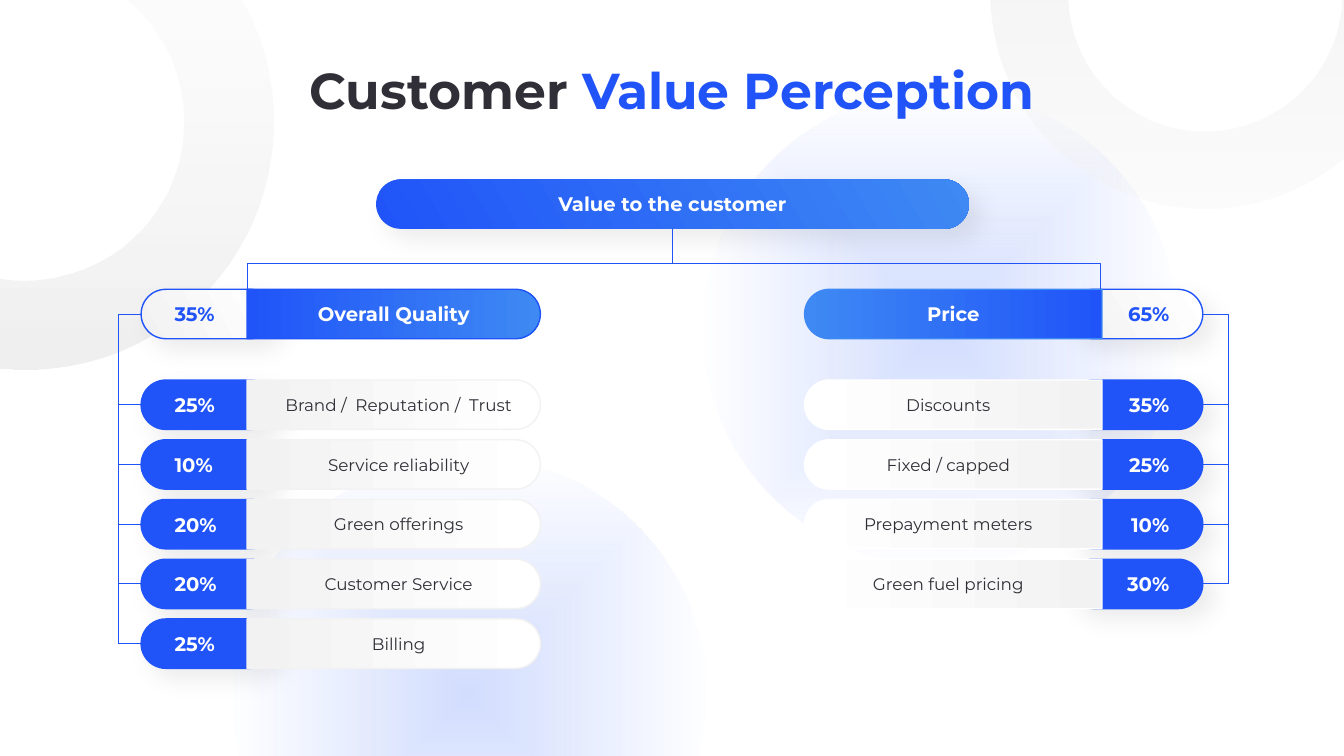
from dataclasses import dataclass
from math import asin, cos, degrees, radians, sin

from lxml import etree
from pptx import Presentation
from pptx.dml.color import RGBColor
from pptx.enum.shapes import MSO_CONNECTOR, MSO_SHAPE
from pptx.enum.text import MSO_ANCHOR, PP_ALIGN
from pptx.oxml import parse_xml
from pptx.oxml.ns import nsdecls, qn
from pptx.util import Inches, Pt

ELLIPSE, PILL, BRACKET = MSO_SHAPE.OVAL, MSO_SHAPE.ROUNDED_RECTANGLE, MSO_SHAPE.LEFT_BRACKET
STRAIGHT = MSO_CONNECTOR.STRAIGHT
LEFT, CENTER, RIGHT = PP_ALIGN.LEFT, PP_ALIGN.CENTER, PP_ALIGN.RIGHT
MIDDLE = MSO_ANCHOR.MIDDLE


@dataclass(frozen=True)
class Theme:
    """Colours, font and type sizes."""
    font: str = "Montserrat"
    blue: str = "2054F8"
    sky: str = "3E89F3"
    ink: str = "302F37"
    white: str = "FFFFFF"
    grey: str = "F2F2F2"
    ring: str = "E7E6E6"
    glow: str = "D2DDFE"
    title: int = 36
    label: int = 14
    body: int = 12


@dataclass(frozen=True)
class Branch:
    """Horizontal layout of one branch of the tree."""
    pill_x: float
    square_x: float
    round_x: float
    spine_x: float
    side: int
    align: PP_ALIGN
    pill_insets: tuple
    row_insets: tuple


T = Theme()
BAR_H, PILL_W = 0.49, 1.33
HEAD_Y, ROW_Y, ROW_PITCH = 2.87, 3.77, 2.37 / 4
QUALITY = Branch(1.4, 2.45, 5.36, 1.17, 1, LEFT, (0.26, 0.1), (0.1, 0))
PRICE = Branch(10.6, 10.93, 7.98, 12.18, 3, RIGHT, (0.1, 0.26), (0, 0.1))
QUALITY_ROWS = [("25%", "Brand /  Reputation /  Trust"), ("10%", "Service reliability"),
                ("20%", "Green offerings"), ("20%", "Customer Service"), ("25%", "Billing")]
PRICE_ROWS = [("35%", "Discounts"), ("25%", "Fixed / capped"),
              ("10%", "Prepayment meters"), ("30%", "Green fuel pricing")]


def rgb(color):
    """Turn a hex string into a colour."""
    return RGBColor.from_string(color)


def gradient(sp, stops, angle=None):
    """Fill with (colour, opacity) stops, linear at an angle or from the centre."""
    marks = "".join(
        f'<a:gs pos="{i * 100000}"><a:srgbClr val="{color}"><a:alpha val="{opacity * 1000}"/>'
        f'</a:srgbClr></a:gs>' for i, (color, opacity) in enumerate(stops))
    if angle is None:
        course = ('<a:path path="shape"><a:fillToRect l="50000" t="50000" r="50000" b="50000"/>'
                  '</a:path>')
    else:
        course = f'<a:lin ang="{angle * 60000}" scaled="0"/>'
    sp.fill.solid()
    solid = sp._element.spPr.find(qn("a:solidFill"))
    solid.getparent().replace(solid, parse_xml(
        f'<a:gradFill {nsdecls("a")} rotWithShape="1"><a:gsLst>{marks}</a:gsLst>{course}</a:gradFill>'))


def finish(sp, line=None, width=1):
    """Remove the inherited shadow and set the outline."""
    sp.shadow.inherit = False
    if line:
        sp.line.color.rgb = rgb(line)
        sp.line.width = Pt(width)
    else:
        sp.line.fill.background()


def soft_shadow(sp):
    """Add a faint shadow below and to the right."""
    sp._element.spPr.find(qn("a:effectLst")).append(parse_xml(
        f'<a:outerShdw {nsdecls("a")} blurRad="{Pt(17)}" dist="{Pt(10)}" dir="2700000" algn="tl" '
        'rotWithShape="0"><a:srgbClr val="000000"><a:alpha val="8000"/></a:srgbClr></a:outerShdw>'))


def write(sp, text, color, size=T.label, bold=True, align=CENTER, insets=(0.1, 0.1)):
    """Put one line of text into a shape."""
    tf = sp.text_frame
    tf.word_wrap = True
    tf.vertical_anchor = MIDDLE
    tf.margin_left, tf.margin_right = map(Inches, insets)
    p = tf.paragraphs[0]
    p.text = text
    p.alignment = align
    p.font.name, p.font.size, p.font.bold = T.font, Pt(size), bold
    p.font.color.rgb = rgb(color)


def shape(s, kind, x, y, w, h):
    """Add a preset shape measured in inches."""
    return s.shapes.add_shape(kind, Inches(x), Inches(y), Inches(w), Inches(h))


def outline(s, points):
    """Add a closed outline through points in inches."""
    start, *rest = [(Inches(x), Inches(y)) for x, y in points]
    builder = s.shapes.build_freeform(*start)
    builder.add_line_segments(rest)
    return builder.convert_to_shape()


def arc(cx, cy, rx, ry, begin, end, steps=60):
    """List points along an arc given in degrees."""
    angles = [radians(begin + (end - begin) * i / steps) for i in range(steps + 1)]
    return [(cx + rx * cos(a), cy + ry * sin(a)) for a in angles]


def glow(s, x, y):
    """Add a round glow that fades outward."""
    sp = shape(s, ELLIPSE, x, y, 4.71, 4.71)
    gradient(sp, [(T.glow, 100), (T.glow, 0)])
    finish(sp)


def ring(s, cx, cy, outer, inner, cut, facing, stops):
    """Add a ring cut straight at a distance behind its centre."""
    far, near = (90 + degrees(asin(cut / radius)) for radius in (outer, inner))
    sp = outline(s, arc(cx, cy, outer, outer, facing - far, facing + far)
                 + arc(cx, cy, inner, inner, facing + near, facing - near))
    gradient(sp, stops, 90)
    finish(sp)


def title(s):
    """Add the two-colour heading."""
    sp = s.shapes.add_textbox(Inches(0.58), Inches(0.39), Inches(12.17), Inches(1))
    write(sp, "Customer ", T.ink, T.title, insets=(0, 0))
    p = sp.text_frame.paragraphs[0]
    r = p.add_run()
    r.text = "Value Perception"
    r.font.color.rgb = rgb(T.blue)


def line(s, x1, y1, x2, y2):
    """Add a thin blue line."""
    cx = s.shapes.add_connector(STRAIGHT, Inches(x1), Inches(y1), Inches(x2), Inches(y2))
    cx.line.color.rgb = rgb(T.blue)
    cx.line.width = Pt(0.5)
    etree.SubElement(cx._element.spPr, qn("a:effectLst"))
    return cx


def pill(s, x, y, w):
    """Add a fully rounded bar."""
    sp = shape(s, PILL, x, y, w, BAR_H)
    sp.adjustments[0] = 0.5
    return sp


def bar(s, branch, y, percent, label, head=False):
    """Add a percentage pill with its label bar and return the pill."""
    share = pill(s, branch.pill_x, y, PILL_W)
    if head:
        gradient(share, [(T.grey, 100), (T.white, 100)], 330)
    else:
        share.fill.solid()
        share.fill.fore_color.rgb = rgb(T.blue)
    finish(share, T.blue)
    soft_shadow(share)
    write(share, percent, T.blue if head else T.white, align=branch.align, insets=branch.pill_insets)

    radius = BAR_H / 2
    reach = radius if branch.round_x > branch.square_x else -radius
    name = outline(s, [(branch.square_x, y)]
                   + arc(branch.round_x - reach, y + radius, reach, radius, -90, 90, 24)
                   + [(branch.square_x, y + BAR_H)])
    colors = [T.blue, T.sky] if head else [T.grey, T.white]
    edge = colors[0] if reach > 0 else colors[1]
    gradient(name, [(c, 100) for c in (colors if reach > 0 else colors[::-1])], 0)
    finish(name, edge)
    if head:
        write(name, label, T.white)
    else:
        write(name, label, T.ink, T.body, False, insets=branch.row_insets)
    return share


def tree(s, branch, head, rows):
    """Add a branch heading, its rows and the lines that join them."""
    pills = [bar(s, branch, HEAD_Y, *head, head=True)]
    pills += [bar(s, branch, ROW_Y + i * ROW_PITCH, *row) for i, row in enumerate(rows)]
    mid = BAR_H / 2
    last_y = ROW_Y + (len(rows) - 1) * ROW_PITCH + mid
    line(s, branch.spine_x, HEAD_Y + mid, branch.spine_x, last_y)
    for share in pills:
        y = (share.top + share.height / 2) / Inches(1)
        line(s, branch.spine_x, y, branch.pill_x, y).end_connect(share, branch.side)


def root(s):
    """Add the top bar and the bracket leading to both branches."""
    sp = pill(s, 3.73, 1.78, 5.88)
    gradient(sp, [(T.blue, 100), (T.sky, 100)], 330)
    finish(sp)
    soft_shadow(sp)
    write(sp, "Value to the customer", T.white)
    line(s, 6.67, 2.27, 6.67, 2.62).begin_connect(sp, 2)
    bracket = shape(s, BRACKET, 6.56, -1.49, 0.25, 8.46)
    bracket.adjustments[0] = 0
    bracket.rotation = 90
    bracket.fill.background()
    finish(bracket, T.blue, 0.5)


def main():
    """Build the slide and save it."""
    prs = Presentation()
    prs.slide_width, prs.slide_height = Inches(13.33), Inches(7.5)
    s = prs.slides.add_slide(prs.slide_layouts[6])
    glow(s, 6.97, 0.9)
    ring(s, 11.95, -0.06, 2.13, 1.36, 0.22, 90, [(T.grey, 71), (T.grey, 25)])
    ring(s, 0.25, 1.21, 2.46, 1.57, 0.25, 0, [(T.white, 30), (T.ring, 62)])
    glow(s, 2.3, 4.53)
    title(s)
    tree(s, QUALITY, ("35%", "Overall Quality"), QUALITY_ROWS)
    tree(s, PRICE, ("65%", "Price"), PRICE_ROWS)
    root(s)
    prs.save("out.pptx")


if __name__ == "__main__":
    main()
